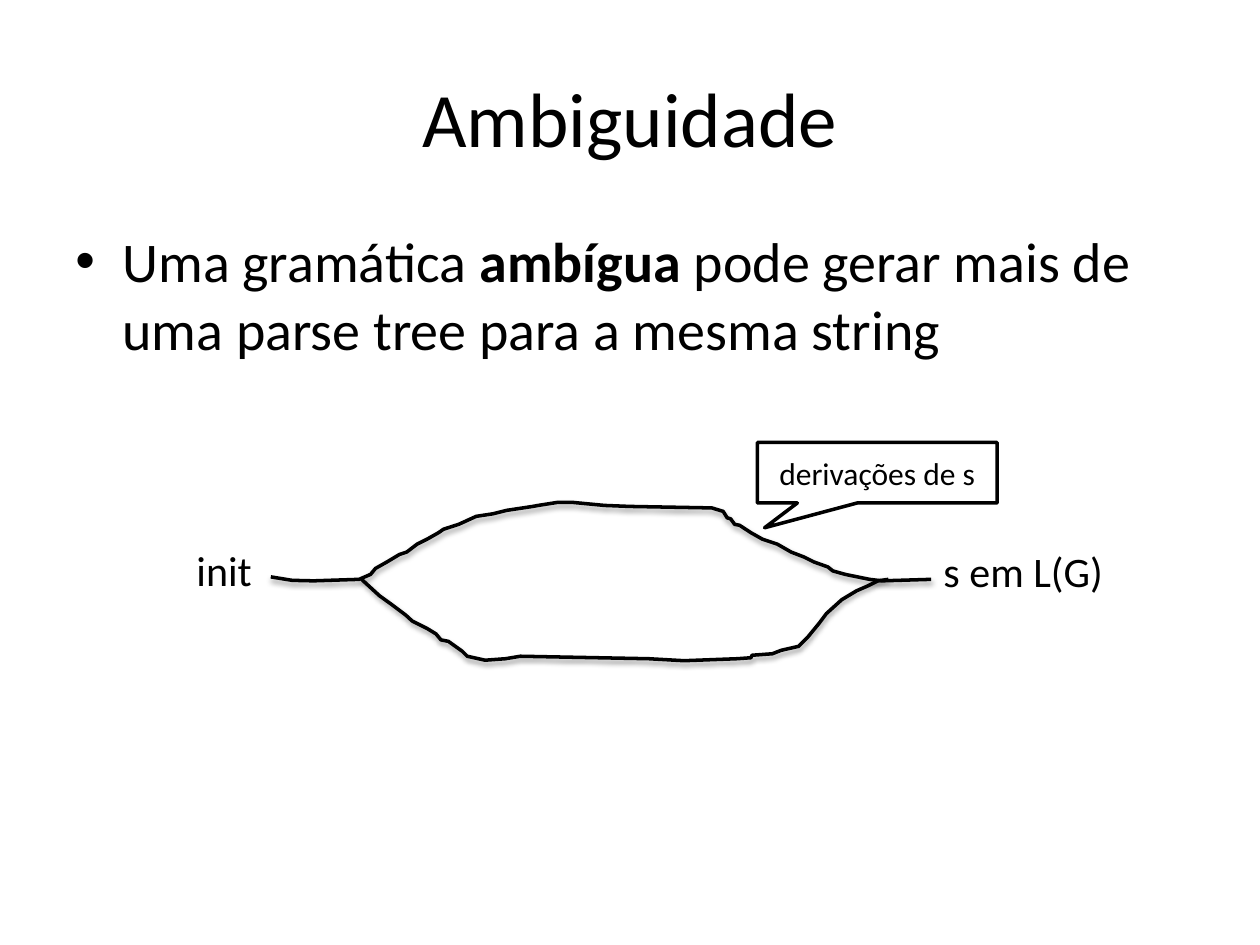
from lxml.etree import SubElement
from pptx import Presentation
from pptx.dml.color import RGBColor
from pptx.enum.shapes import MSO_SHAPE
from pptx.enum.text import MSO_ANCHOR, PP_ALIGN
from pptx.oxml.ns import qn
from pptx.util import Cm, Pt

BLACK, WHITE = "000000", "FFFFFF"

TITLE = "Ambiguidade"
BODY = [("Uma gramática ", False), ("ambígua ", True),
        ("pode gerar mais de uma parse tree para a mesma string", False)]
# text, left, top, width, height in cm
LABELS = [("s em L(G)", 18.77, 10.87, 3.76, 1.27),
          ("init", 3.71, 10.85, 1.65, 1.27)]
CALLOUT = ("derivações de s", 15.27, 8.92, 4.83, 1.22)

# Hand-drawn curves, in hundredths of a cm
UPPER = [
    (546, 1163), (589, 1170), (632, 1171), (724, 1168), (747, 1158),
    (757, 1146), (780, 1133), (805, 1118), (820, 1113), (841, 1097),
    (861, 1087), (884, 1074), (894, 1067), (925, 1057), (960, 1041),
    (993, 1036), (1021, 1029), (1074, 1021), (1085, 1019), (1123, 1013),
    (1156, 1013), (1219, 1019), (1270, 1021), (1435, 1024), (1458, 1031),
    (1466, 1044), (1473, 1046), (1481, 1057), (1491, 1059), (1514, 1074),
    (1537, 1087), (1567, 1097), (1595, 1113), (1621, 1123), (1641, 1133),
    (1669, 1143), (1679, 1151), (1704, 1158), (1753, 1168), (1778, 1171),
    (1877, 1168)]
LOWER = [
    (729, 1168), (765, 1201), (790, 1219), (818, 1240), (831, 1252),
    (861, 1267), (879, 1278), (889, 1290), (904, 1293), (932, 1313),
    (942, 1323), (978, 1331), (1019, 1328), (1049, 1323), (1308, 1328),
    (1379, 1332), (1486, 1328), (1514, 1326), (1516, 1321), (1557, 1318),
    (1575, 1311), (1610, 1303), (1628, 1285), (1651, 1257), (1666, 1237),
    (1697, 1209), (1727, 1191), (1750, 1181), (1770, 1171), (1791, 1168)]


def color(code):
    return RGBColor.from_string(code)


def style(run, size, bold=False):
    font = run.font
    font.name, font.size, font.bold = "Calibri", Pt(size), bold
    font.color.rgb = color(BLACK)


def write(shape, text, size, align=PP_ALIGN.LEFT, anchor=MSO_ANCHOR.TOP, wrap=True):
    frame = shape.text_frame
    frame.text = text
    frame.word_wrap = wrap
    frame.vertical_anchor = anchor
    para = frame.paragraphs[0]
    para.alignment = align
    style(para.runs[0], size)


def add_box(slide, *place):
    return slide.shapes.add_textbox(*map(Cm, place))


def add_body(slide):
    frame = add_box(slide, 1.27, 4.45, 22.86, 12.57).text_frame
    frame.word_wrap = True
    para = frame.paragraphs[0]
    props = para._p.get_or_add_pPr()
    props.set("marL", str(Cm(0.95)))
    props.set("indent", str(Cm(-0.95)))
    SubElement(props, qn("a:buFont"), typeface="Arial")
    SubElement(props, qn("a:buChar"), char="•")
    for text, bold in BODY:
        run = para.add_run()
        run.text = text
        style(run, 32, bold)


def outline(shape):
    shape.shadow.inherit = False
    shape.line.color.rgb = color(BLACK)
    shape.line.width = Pt(2)


def add_curve(slide, points):
    """Draw an open line through the points, with a soft shadow below."""
    pen = slide.shapes.build_freeform(*points[0], scale=Cm(0.01))
    pen.add_line_segments(points[1:], close=False)
    curve = pen.convert_to_shape()
    curve.fill.background()
    outline(curve)
    effects = curve._element.spPr.find(qn("a:effectLst"))
    shade = SubElement(effects, qn("a:outerShdw"), blurRad=str(Pt(3.1)),
                       dist=str(Pt(1.6)), dir="5400000", rotWithShape="0")
    tint = SubElement(shade, qn("a:srgbClr"), val=BLACK)
    SubElement(tint, qn("a:alpha"), val="38000")


def add_callout(slide):
    text, *place = CALLOUT
    shape = slide.shapes.add_shape(MSO_SHAPE.RECTANGULAR_CALLOUT, *map(Cm, place))
    shape.adjustments[0], shape.adjustments[1] = -0.47, 0.91
    shape.fill.solid()
    shape.fill.fore_color.rgb = color(WHITE)
    outline(shape)
    write(shape, text, 18, PP_ALIGN.CENTER, MSO_ANCHOR.MIDDLE)


def main():
    deck = Presentation()
    deck.slide_width, deck.slide_height = Cm(25.4), Cm(19.05)
    slide = deck.slides.add_slide(deck.slide_layouts[6])
    write(add_box(slide, 1.27, 0.76, 22.86, 3.18), TITLE, 44,
          PP_ALIGN.CENTER, MSO_ANCHOR.MIDDLE)
    add_body(slide)
    add_curve(slide, UPPER)
    for text, *place in LABELS:
        write(add_box(slide, *place), text, 24, wrap=False)
    add_callout(slide)
    add_curve(slide, LOWER)
    deck.save("out.pptx")


if __name__ == "__main__":
    main()
